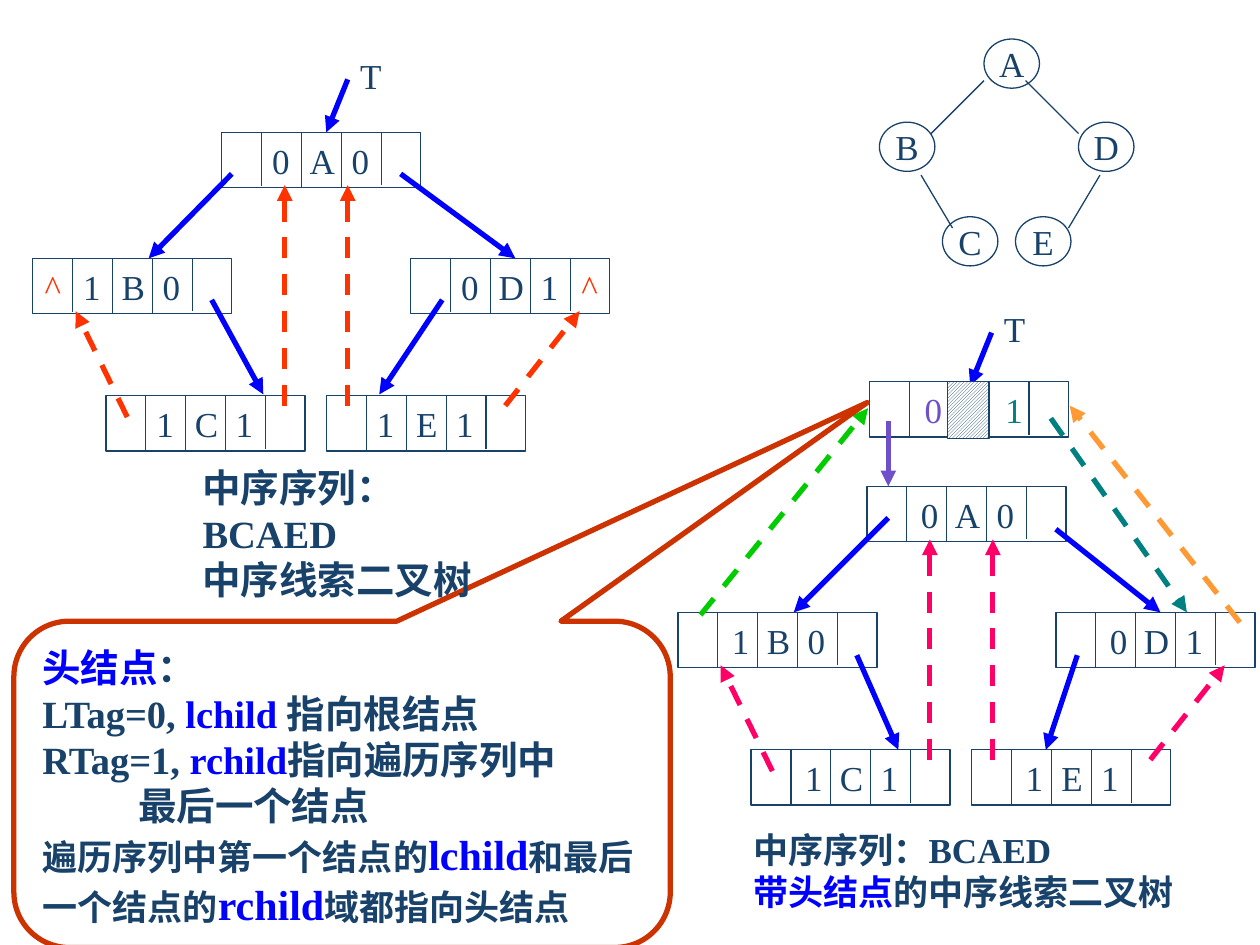
from dataclasses import dataclass
from lxml.etree import SubElement
from pptx import Presentation
from pptx.dml.color import RGBColor
from pptx.enum.dml import MSO_LINE, MSO_PATTERN
from pptx.enum.shapes import MSO_CONNECTOR, MSO_SHAPE as Form
from pptx.enum.text import MSO_ANCHOR as Anchor, PP_ALIGN as Align
from pptx.oxml.ns import qn
from pptx.util import Inches, Pt


@dataclass(frozen=True)
class Theme:
    ink: str = "19426B"
    blue: str = "0000FF"
    pink: str = "FF0066"
    red: str = "FF3300"
    rust: str = "CC3300"
    violet: str = "6D50CA"
    teal: str = "008080"
    green: str = "00CC00"
    orange: str = "FF9933"
    white: str = "FFFFFF"
    base: int = 20
    head: int = 22
    big: int = 24
    thin: float = 0.75
    thick: float = 3
    latin: str = "Times New Roman"
    asian: str = "Noto Sans CJK SC"


look = Theme()


def rgb(code):
    return RGBColor.from_string(code)


def write(para, text, size=look.base, color=look.ink, bold=False, font=look.latin):
    run = para.add_run()
    run.text = text
    run.font.size, run.font.bold, run.font.name = Pt(size), bold, font
    run.font.color.rgb = rgb(color)
    SubElement(run._r.get_or_add_rPr(), qn("a:ea"), typeface=look.asian)


class Board:
    """Draws on one slide with a grid of 100 columns and 75 rows."""

    def __init__(self, deck):
        self.slide = deck.slides.add_slide(deck.slide_layouts[6])
        self.shapes = self.slide.shapes
        self.col, self.row = deck.slide_width / 100, deck.slide_height / 75

    def span(self, x, y):
        return round(x * self.col), round(y * self.row)

    def form(self, kind, x, y, w, h, color=look.ink, width=look.thin):
        shape = self.shapes.add_shape(kind, *self.span(x, y), *self.span(w, h))
        shape.shadow.inherit = False
        shape.fill.background()
        shape.line.color.rgb, shape.line.width = rgb(color), Pt(width)
        return shape

    def link(self, start, end, color=look.ink, width=look.thin, dash=False, tip=False):
        line = self.shapes.add_connector(
            MSO_CONNECTOR.STRAIGHT, *self.span(*start), *self.span(*end))
        line.line.color.rgb, line.line.width = rgb(color), Pt(width)
        if dash:
            line.line.dash_style = MSO_LINE.DASH
        if tip:
            SubElement(line.line._ln, qn("a:tailEnd"), type="triangle")
        SubElement(line._element.spPr, qn("a:effectLst"))

    def arrow(self, start, end, color=look.blue, dash=False):
        self.link(start, end, color, look.thick, dash, True)

    def fill(self, shape, paras, align=Align.LEFT, anchor=Anchor.TOP, wrap=True, lead=None):
        frame = shape.text_frame
        frame.word_wrap, frame.vertical_anchor = wrap, anchor
        for i, runs in enumerate(paras):
            para = frame.add_paragraph() if i else frame.paragraphs[0]
            para.alignment = align
            if lead:
                para.line_spacing = Pt(lead * max(f.get("size", look.base) for _, f in runs))
            for text, form in runs:
                write(para, text, **form)
        return frame

    def text(self, x, y, w, h, paras, **form):
        box = self.shapes.add_textbox(*self.span(x, y), *self.span(w, h))
        return self.fill(box, paras, **form)

    def mark(self, x, y, text, color=look.ink):
        self.text(x - 1.7, y, 3.4, 4.3, [[(text, {"color": color})]],
                  align=Align.CENTER, anchor=Anchor.MIDDLE)

    def node(self, x, y, text):
        shape = self.form(Form.OVAL, x, y, 4.4, 3.9)
        self.fill(shape, [[(text, {})]], Align.CENTER, Anchor.MIDDLE, False)

    def record(self, x, y, runs, stops):
        shape = self.form(Form.RECTANGLE, x, y, 15.8, 4.4)
        frame = self.fill(shape, [runs], anchor=Anchor.MIDDLE)
        tabs = SubElement(frame.paragraphs[0]._p.get_or_add_pPr(), qn("a:tabLst"))
        for stop in stops:
            SubElement(tabs, qn("a:tab"), pos=str(Inches(stop)), algn="ctr")
        for i, tall in enumerate((4.3, 4.4, 4.4, 4.2), 1):
            left = x + i * 3.17
            self.link((left, y), (left, y + tall))

    def pin(self, x, y):
        self.arrow((x, y), (x - 1.7, y + 4.2))
        self.text(x, y - 2.5, 3.7, 4.3, [[("T", {})]])

    def tree(self, x, y, links, hue, split):
        for dx, dy, left, name, right in CELLS:
            at = x + dx, y + dy
            if split:
                self.record(*at, [(f"\t{name}", {})], (0.7,))
                self.mark(at[0] + 4.7, at[1] + 0.1, left)
                self.mark(at[0] + 11, at[1] + 0.1, right)
            else:
                self.record(*at, [(f"\t{left}\t{name}\t{right}", {})], (0.4, 0.7, 1))
        for group, color, dash in (links, look.blue, False), (THREADS, hue, True):
            for a, b, c, d in group:
                self.arrow((x + a, y + b), (x + c, y + d), color, dash)


CELLS = [(0, 0, "0", "A", "0"), (-15, 10, "1", "B", "0"), (15, 10, "0", "D", "1"),
         (-9.2, 20.9, "1", "C", "1"), (8.3, 20.9, "1", "E", "1")]
THREADS = [(-7.5, 22.6, -11.6, 14.2), (5, 21.7, 5, 4.2),
           (10, 21.7, 10, 4.2), (22.5, 21.7, 28.4, 14.2)]
PLAIN = [(0.8, 3.3, -5.8, 10), (14.2, 3.3, 23.3, 10),
         (-0.8, 13.3, 3.3, 20.8), (17.5, 13.3, 12.5, 20.8)]
HEADED = [(1.7, 2.5, -5.8, 10), (15, 3.4, 23.3, 10),
          (-0.8, 13.4, 2.5, 20.9), (16.7, 13.4, 14.2, 20.9)]


def graph(board):
    for x, y, name in ((78.1, 3.1, "A"), (69.8, 9.7, "B"), (74.8, 17.2, "C"),
                       (85.6, 9.7, "D"), (80.6, 17.2, "E")):
        board.node(x, y, name)
    for a, b, c, d in ((78.1, 6.4, 73.9, 10.6), (81.4, 6.4, 85.6, 10.6),
                       (73.1, 13.9, 75.6, 18.1), (87.3, 13.9, 84.8, 18.1)):
        board.link((a, b), (c, d))


def plain(board):
    board.tree(17.6, 10.5, PLAIN, look.red, True)
    board.pin(27.6, 6.3)
    for x in 4.2, 46.8:
        board.mark(x, 20.6, "^", look.red)
    bold = {"size": look.head, "bold": True}
    board.text(15.1, 36.3, 25, 11.5, [[("中序序列：BCAED", bold)],
                                      [("中序线索二叉树", bold)]], lead=1.2)


def headed(board):
    board.tree(68.8, 38.6, HEADED, look.pink, False)
    board.pin(78.7, 26.4)
    board.record(69, 30.3, [("\t0", {"color": look.violet}),
                            ("\t1", {"color": look.teal})], (0.41, 1.05))
    hatch = board.form(Form.RECTANGLE, 75.2, 30.3, 3.3, 4.5).fill
    hatch.patterned()
    hatch.pattern = MSO_PATTERN.DARK_UPWARD_DIAGONAL
    hatch.fore_color.rgb, hatch.back_color.rgb = rgb(look.ink), rgb(look.white)
    board.arrow((70.5, 33.4), (70.5, 38.6), look.violet)
    board.arrow((55.6, 48.8), (68.9, 32.4), look.green, True)
    board.arrow((83.4, 33.2), (94.2, 48.6), look.teal, True)
    board.arrow((98.4, 49.4), (84.9, 32.2), look.orange, True)
    bold = {"bold": True}
    board.text(58.8, 65.3, 35.6, 7.7, [
        [("中序序列：BCAED", bold)],
        [("带头结点", {**bold, "color": look.blue}), ("的中序线索二叉树", bold)]], lead=1.2)


def callout(board):
    shape = board.form(Form.ROUNDED_RECTANGULAR_CALLOUT, 1.1, 49.3, 52.1, 25.9,
                       look.rust, look.thick)
    for i, value in enumerate((0.8, -1.17, 0.17)):
        shape.adjustments[i] = value
    latin = {"size": look.head, "bold": True}
    asian = {**latin, "font": look.asian}
    key = {**latin, "color": look.blue}
    small, large = {**asian, "size": look.base}, {**key, "size": look.big}
    frame = board.fill(shape, [
        [("头结点", {**asian, "color": look.blue}), ("：", asian)],
        [("LTag=0, ", latin), ("lchild ", key), ("指向根结点", asian)],
        [("RTag=1, ", latin), ("rchild", key), ("指向遍历序列中", asian)],
        [("最后一个结点", asian)],
        [("遍历序列中第一个结点的", small), ("lchild", large), ("和最后一个结点的", small),
         ("rchild", large), ("域都指向头结点", small)]], lead=1.2)
    frame.paragraphs[3]._p.get_or_add_pPr().set("marL", str(Inches(0.76)))


def main():
    deck = Presentation()
    deck.slide_width, deck.slide_height = Inches(10), Inches(7.5)
    board = Board(deck)
    for part in graph, headed, callout, plain:
        part(board)
    deck.save("out.pptx")


if __name__ == "__main__":
    main()
